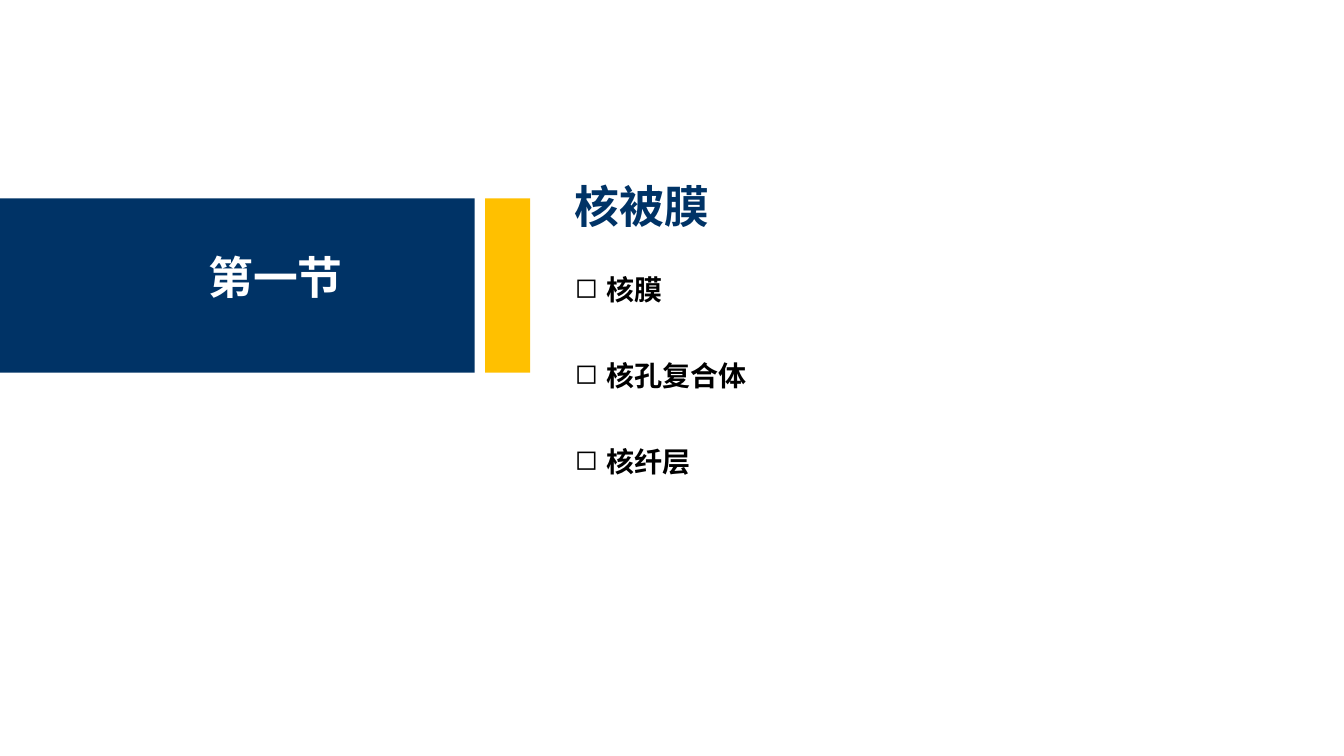
"""Build the section slide on the nuclear envelope."""
from dataclasses import dataclass

import lxml.etree
import pptx
import pptx.dml.color
import pptx.enum.shapes
import pptx.enum.text
import pptx.oxml.ns
import pptx.util

PX = 9525
FONT = "Noto Sans CJK SC"
NAVY = pptx.dml.color.RGBColor(0x00, 0x33, 0x66)
GOLD = pptx.dml.color.RGBColor(0xFF, 0xC0, 0x00)
WHITE = pptx.dml.color.RGBColor(0xFF, 0xFF, 0xFF)
BLACK = pptx.dml.color.RGBColor(0x00, 0x00, 0x00)

BAND_TOP, BAND_HEIGHT = 189, 166
CONTENT_LEFT = 538
TOPIC_TOP, TOPIC_STEP, TOPIC_HEIGHT = 255, 82, 42
TOPIC_INDENT = 30


@dataclass(frozen=True)
class Band:
    left: int
    width: int
    color: pptx.dml.color.RGBColor


@dataclass(frozen=True)
class Label:
    text: str
    left: int
    top: int
    width: int
    height: int
    size: int
    color: pptx.dml.color.RGBColor
    bullet: str = ""
    wrap: bool = False


BANDS = [Band(0, 452, NAVY), Band(462, 43, GOLD)]
TITLE = Label("核被膜", CONTENT_LEFT, 165, 538, 61, 32, NAVY, wrap=True)
SECTION = Label("第一节", 189, 233, 149, 61, 32, WHITE)
TOPICS = [
    Label(text, CONTENT_LEFT, TOPIC_TOP + index * TOPIC_STEP, width,
          TOPIC_HEIGHT, 20, BLACK, bullet="◻")
    for index, (text, width) in enumerate(
        [("核膜", 104), ("核孔复合体", 184), ("核纤层", 131)])
]


def add_band(slide: pptx.slide.Slide, band: Band) -> None:
    shape = slide.shapes.add_shape(
        pptx.enum.shapes.MSO_SHAPE.RECTANGLE,
        band.left * PX, BAND_TOP * PX, band.width * PX, BAND_HEIGHT * PX)
    shape.shadow.inherit = False
    shape.fill.solid()
    shape.fill.fore_color.rgb = band.color
    shape.line.fill.background()


def add_bullet(paragraph, character: str) -> None:
    properties = paragraph._p.get_or_add_pPr()
    properties.set("marL", str(TOPIC_INDENT * PX))
    properties.set("indent", str(-TOPIC_INDENT * PX))
    bullet = lxml.etree.SubElement(properties, pptx.oxml.ns.qn("a:buChar"))
    bullet.set("char", character)


def write_label(shape, label: Label) -> None:
    shape.left, shape.top = label.left * PX, label.top * PX
    shape.width, shape.height = label.width * PX, label.height * PX
    frame = shape.text_frame
    frame.text = label.text
    frame.word_wrap = label.wrap
    frame.auto_size = pptx.enum.text.MSO_AUTO_SIZE.SHAPE_TO_FIT_TEXT
    frame.vertical_anchor = pptx.enum.text.MSO_ANCHOR.TOP
    paragraph = frame.paragraphs[0]
    paragraph.alignment = pptx.enum.text.PP_ALIGN.LEFT
    if label.bullet:
        add_bullet(paragraph, label.bullet)
    run = paragraph.runs[0]
    run.font.size = pptx.util.Pt(label.size)
    run.font.bold = True
    run.font.color.rgb = label.color
    run.font.name = FONT
    east_asian = lxml.etree.SubElement(
        run._r.get_or_add_rPr(), pptx.oxml.ns.qn("a:ea"))
    east_asian.set("typeface", FONT)


def main() -> None:
    presentation = pptx.Presentation()
    presentation.slide_width = 1280 * PX
    presentation.slide_height = 720 * PX
    slide = presentation.slides.add_slide(presentation.slide_layouts[5])
    for band in BANDS:
        add_band(slide, band)
    write_label(slide.shapes.title, TITLE)
    for label in [SECTION, *TOPICS]:
        write_label(slide.shapes.add_textbox(0, 0, 0, 0), label)
    presentation.save("out.pptx")


if __name__ == "__main__":
    main()
